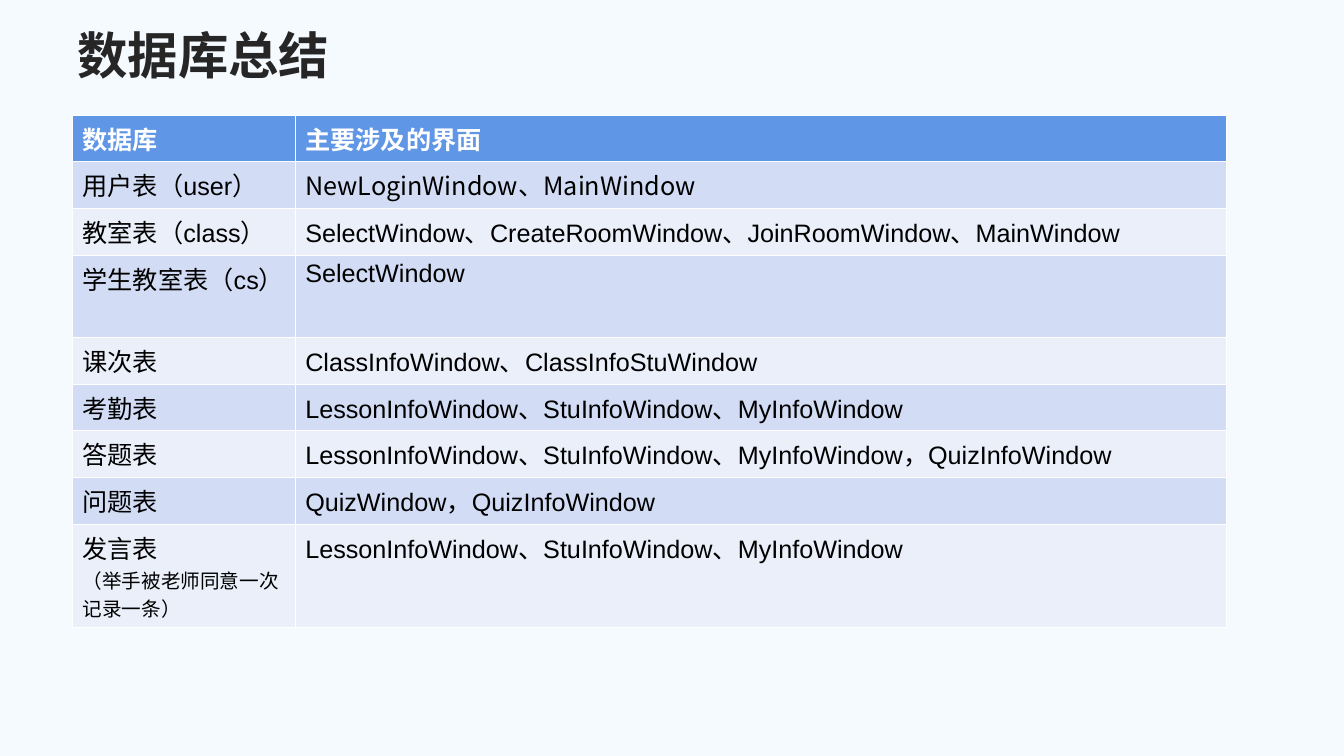
from lxml import etree
from pptx import Presentation
from pptx.dml.color import RGBColor
from pptx.enum.text import MSO_ANCHOR
from pptx.oxml.ns import qn
from pptx.util import Inches, Pt

MIDDLE = MSO_ANCHOR.MIDDLE
BACKGROUND = RGBColor(0xF5, 0xFA, 0xFF)
TITLE_COLOR = RGBColor(0x26, 0x26, 0x26)
HEADER_FILL = RGBColor(0x60, 0x96, 0xE6)
BAND_FILLS = (RGBColor(0xEA, 0xEF, 0xFA), RGBColor(0xD2, 0xDD, 0xF5))
WHITE = RGBColor(0xFF, 0xFF, 0xFF)
BLACK = RGBColor(0x00, 0x00, 0x00)
LATIN_FONT = "Arial"
CHINESE_FONT = "Noto Sans CJK SC"

SLIDE_WIDTH, SLIDE_HEIGHT = Inches(13.34), Inches(7.5)
TITLE_BOX = (Inches(0.67), Inches(0.15), Inches(12), Inches(0.77))
TABLE_BOX = (Inches(0.72), Inches(1.14), Inches(11.45), Inches(5.09))
FIRST_COLUMN_WIDTH = Inches(2.21)
TALL_ROWS = {3: Inches(0.82), 8: Inches(1.03)}
THIN, THICK = Pt(0.45), Pt(1.47)

ROWS = [
    ("数据库", "主要涉及的界面"),
    ("用户表（user）", "NewLoginWindow、MainWindow"),
    ("教室表（class）", "SelectWindow、CreateRoomWindow、JoinRoomWindow、MainWindow"),
    ("学生教室表（cs）", "SelectWindow"),
    ("课次表", "ClassInfoWindow、ClassInfoStuWindow"),
    ("考勤表", "LessonInfoWindow、StuInfoWindow、MyInfoWindow"),
    ("答题表", "LessonInfoWindow、StuInfoWindow、MyInfoWindow，QuizInfoWindow"),
    ("问题表", "QuizWindow，QuizInfoWindow"),
    ("发言表\n（举手被老师同意一次记录一条）", "LessonInfoWindow、StuInfoWindow、MyInfoWindow"),
]


def format_paragraph(paragraph, size, color, bold=False, latin=LATIN_FONT):
    """Apply size, colour, weight and both fonts to the runs of a paragraph."""
    for run in paragraph.runs:
        run.font.size = Pt(size)
        run.font.bold = bold
        run.font.color.rgb = color
        run.font.name = latin
        properties = run.font._element
        etree.SubElement(properties, qn("a:ea"), typeface=CHINESE_FONT)


def set_borders(cell, top, bottom):
    """Draw white borders, thin at the sides, around a cell."""
    properties = cell._tc.get_or_add_tcPr()
    for side, width in (("L", THIN), ("R", THIN), ("T", top), ("B", bottom)):
        line = etree.SubElement(properties, qn(f"a:ln{side}"), w=str(width))
        fill = etree.SubElement(line, qn("a:solidFill"))
        etree.SubElement(fill, qn("a:srgbClr"), val=str(WHITE))


def add_title(slide, box):
    """Place the slide title in the given box."""
    text_frame = slide.shapes.add_textbox(*box).text_frame
    text_frame.word_wrap = True
    text_frame.vertical_anchor = MIDDLE
    text_frame.text = "数据库总结"
    format_paragraph(text_frame.paragraphs[0], 36, TITLE_COLOR, bold=True)


def fill_cell(cell, text, row, column):
    """Write and style one table cell according to its row and column."""
    header = row == 0
    set_borders(cell, THICK if row == 1 else THIN, THICK if header else THIN)
    cell.fill.solid()
    cell.fill.fore_color.rgb = HEADER_FILL if header else BAND_FILLS[row % 2]
    cell.text_frame.text = text
    latin = CHINESE_FONT if (row, column) == (1, 1) else LATIN_FONT
    for index, paragraph in enumerate(cell.text_frame.paragraphs):
        format_paragraph(paragraph, 14 if index else 18, WHITE if header else BLACK, header, latin)


def add_database_table(slide, box):
    """Place the table of databases and their windows in the given box."""
    table = slide.shapes.add_table(len(ROWS), 2, *box).table
    table.columns[0].width = FIRST_COLUMN_WIDTH
    table.columns[1].width = box[2] - FIRST_COLUMN_WIDTH
    row_height = (box[3] - sum(TALL_ROWS.values())) // (len(ROWS) - len(TALL_ROWS))
    for row, texts in enumerate(ROWS):
        table.rows[row].height = TALL_ROWS.get(row, row_height)
        for column, text in enumerate(texts):
            fill_cell(table.cell(row, column), text, row, column)


def main():
    """Build the database summary slide and save it."""
    presentation = Presentation()
    presentation.slide_width, presentation.slide_height = SLIDE_WIDTH, SLIDE_HEIGHT
    slide = presentation.slides.add_slide(presentation.slide_layouts[6])
    slide.background.fill.solid()
    slide.background.fill.fore_color.rgb = BACKGROUND
    add_title(slide, TITLE_BOX)
    add_database_table(slide, TABLE_BOX)
    presentation.save("out.pptx")


if __name__ == "__main__":
    main()
